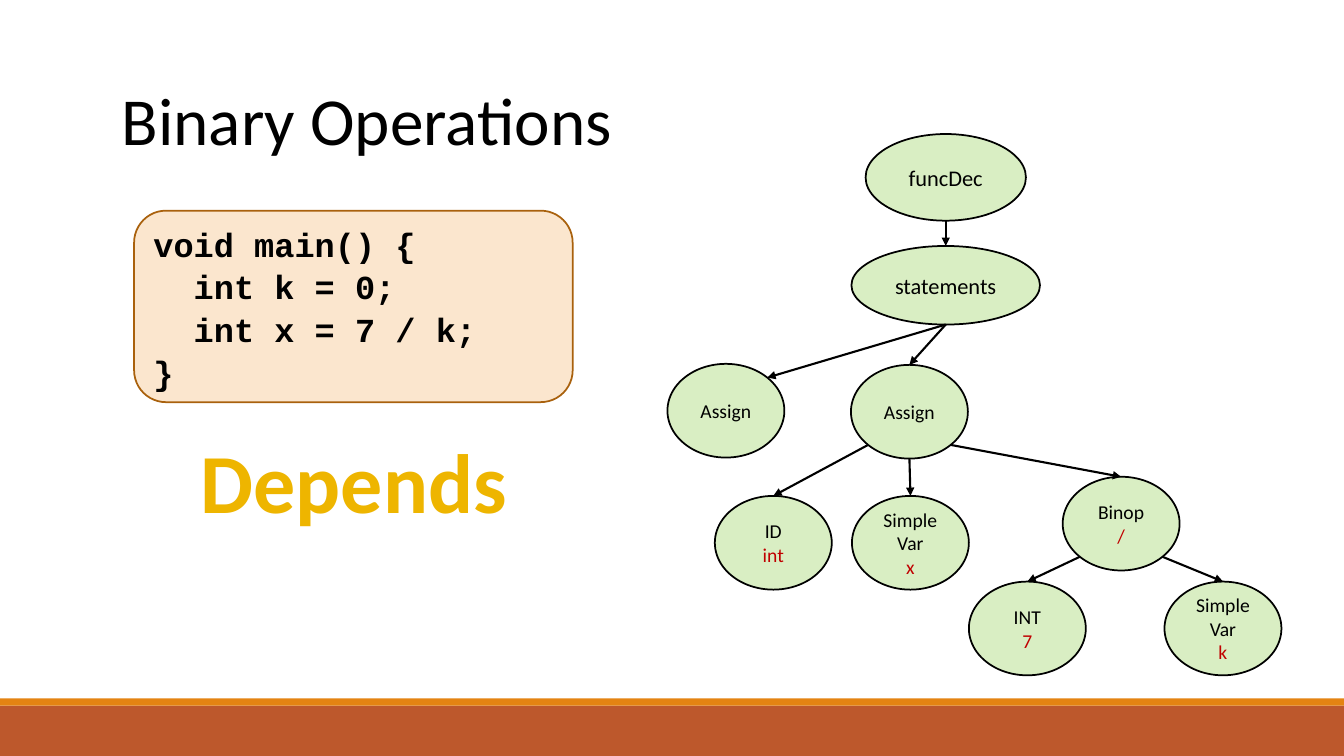
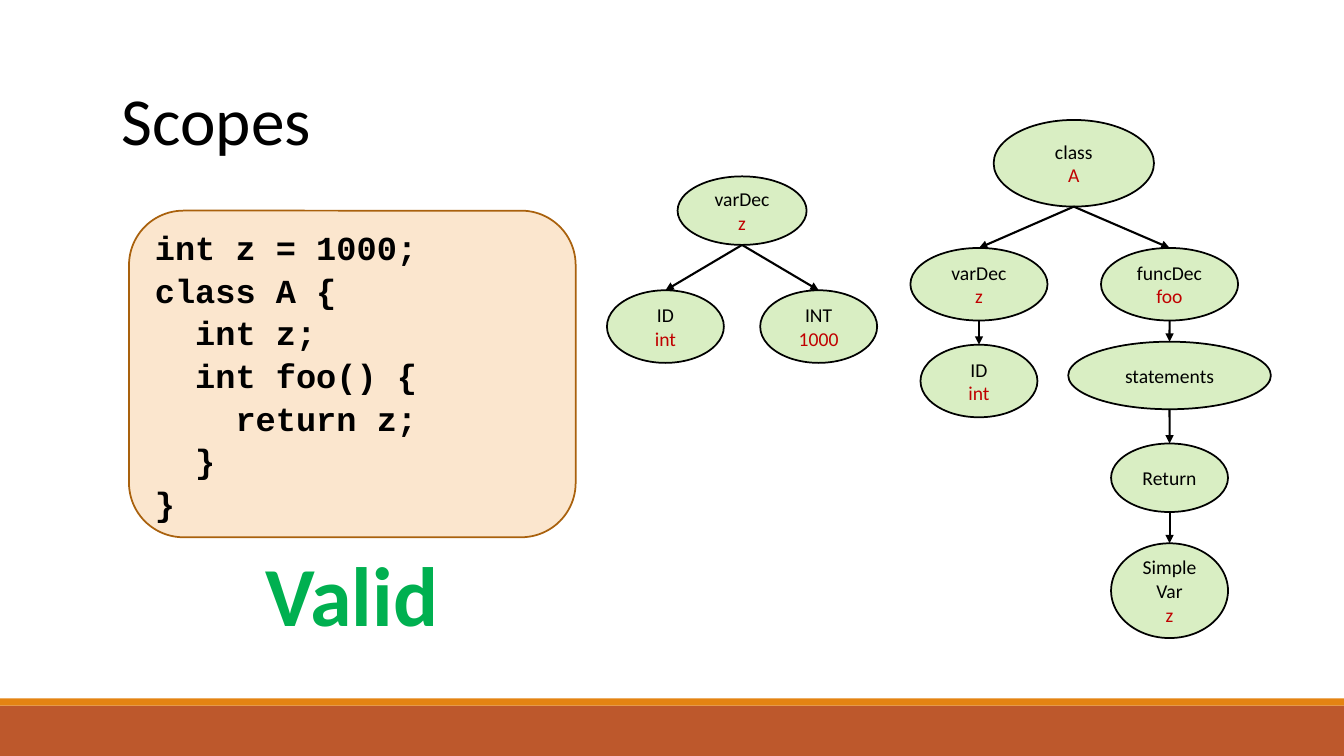
"""Builds two slides that show code samples beside their syntax trees."""
from lxml import etree
from pptx import Presentation
from pptx.dml.color import RGBColor
from pptx.enum import shapes, text
from pptx.oxml.ns import qn
from pptx.util import Inches, Pt

BLACK = RGBColor(0x00, 0x00, 0x00)
RED = RGBColor(0xC0, 0x00, 0x00)
GREEN = RGBColor(0x00, 0xB0, 0x50)
GOLD = RGBColor(0xEE, 0xB5, 0x00)
NODE_FILL = RGBColor(0x92, 0xD0, 0x50)
CODE_FILL = RGBColor(0xFB, 0xE6, 0xCE)
CODE_LINE = RGBColor(0xA9, 0x61, 0x0D)
BAND = RGBColor(0xBD, 0x58, 0x2C)
STRIPE = RGBColor(0xE4, 0x83, 0x12)

WIDTH, HEIGHT = 13.33, 7.5
NODE_OPACITY = 34
DIAGONAL = 0.5 ** 0.5 / 2
TOP, BOTTOM = (0.5, 0), (0.5, 1)
TOP_RIGHT = (0.5 + DIAGONAL, 0.5 - DIAGONAL)
BOTTOM_LEFT = (0.5 - DIAGONAL, 0.5 + DIAGONAL)
BOTTOM_RIGHT = (0.5 + DIAGONAL, 0.5 + DIAGONAL)

TITLE_FONT = {"name": "Calibri", "size": Pt(48), "bold": False}
VERDICT_FONT = {"name": "Calibri", "size": Pt(60), "bold": True}
CODE_FONT = {"name": "Courier New", "size": Pt(24), "bold": True}
NODE_FONT = {"name": "Calibri", "size": Pt(14), "bold": False}
LEFT_PARAGRAPH = {"alignment": text.PP_ALIGN.LEFT}
CENTRE_PARAGRAPH = {"alignment": text.PP_ALIGN.CENTER}
CODE_PARAGRAPH = {"alignment": text.PP_ALIGN.LEFT, "line_spacing": 1.06}


def apply(target, values):
    for name, value in values.items():
        setattr(target, name, value)


class Deck:
    def __init__(self):
        self.presentation = Presentation()
        apply(self.presentation, {"slide_width": Inches(WIDTH), "slide_height": Inches(HEIGHT)})
        self.slide = None

    def start_slide(self, title):
        self.slide = self.presentation.slides.add_slide(self.presentation.slide_layouts[6])
        self.shape(shapes.MSO_SHAPE.RECTANGLE, (0, 7, WIDTH, 0.5), BAND)
        self.shape(shapes.MSO_SHAPE.RECTANGLE, (0, 6.93, WIDTH, 0.07), STRIPE)
        self.label(title, (1.11, 0.73, 11.09, 0.91), TITLE_FONT, BLACK, LEFT_PARAGRAPH)

    def shape(self, kind, box, fill, line=None):
        shape = self.slide.shapes.add_shape(kind, *map(Inches, box))
        shape.shadow.inherit = False
        shape.fill.solid()
        shape.fill.fore_color.rgb = fill
        if line is None:
            shape.line.fill.background()
        else:
            shape.line.color.rgb = line
            shape.line.width = Pt(1.25)
        return shape

    def set_text(self, shape, lines, font, layout, anchor):
        frame = shape.text_frame
        apply(frame, {"word_wrap": True, "vertical_anchor": anchor})
        for index, (content, color) in enumerate(lines):
            paragraph = frame.add_paragraph() if index else frame.paragraphs[0]
            apply(paragraph, layout)
            run = paragraph.add_run()
            run.text = content
            apply(run.font, font)
            run.font.color.rgb = color

    def label(self, content, box, font, color, layout):
        shape = self.slide.shapes.add_textbox(*map(Inches, box))
        self.set_text(shape, [(content, color)], font, layout, text.MSO_ANCHOR.TOP)

    def verdict(self, content, box, color):
        self.label(content, box, VERDICT_FONT, color, CENTRE_PARAGRAPH)

    def code(self, source, box):
        shape = self.shape(shapes.MSO_SHAPE.ROUNDED_RECTANGLE, box, CODE_FILL, CODE_LINE)
        lines = [(line, BLACK) for line in source.splitlines()]
        self.set_text(shape, lines, CODE_FONT, CODE_PARAGRAPH, text.MSO_ANCHOR.MIDDLE)

    def node(self, name, centre, top, width=1.16, height=0.93, value=None, size=14):
        box = (centre - width / 2, top, width, height)
        shape = self.shape(shapes.MSO_SHAPE.OVAL, box, NODE_FILL, BLACK)
        color = shape.element.spPr.find(qn("a:solidFill")).find(qn("a:srgbClr"))
        etree.SubElement(color, qn("a:alpha"), val=str(NODE_OPACITY * 1000))
        lines = [(line, BLACK) for line in name.splitlines()]
        if value is not None:
            lines.append((value, RED))
        font = {**NODE_FONT, "size": Pt(size)}
        self.set_text(shape, lines, font, CENTRE_PARAGRAPH, text.MSO_ANCHOR.MIDDLE)
        return shape

    def arrow(self, parent, child, start=BOTTOM, end=TOP):
        points = []
        for shape, (across, down) in ((parent, start), (child, end)):
            points += [int(shape.left + across * shape.width), int(shape.top + down * shape.height)]
        connector = self.slide.shapes.add_connector(shapes.MSO_CONNECTOR.STRAIGHT, *points)
        if end == TOP:
            connector.end_connect(child, 0)
        connector.line.color.rgb = BLACK
        connector.line.width = Pt(1.5)
        properties = connector.element.spPr
        etree.SubElement(properties.find(qn("a:ln")), qn("a:tailEnd"), type="triangle")
        etree.SubElement(properties, qn("a:effectLst"))


def binary_operations(deck):
    deck.start_slide("Binary Operations")
    deck.verdict("Depends", (1.61, 4.21, 3.8, 1.11), GOLD)
    deck.code("void main() {\n  int k = 0;\n  int x = 7 / k;\n}", (1.33, 2.09, 4.35, 1.9))
    function = deck.node("funcDec", 9.38, 1.33, 1.59, 0.86, size=16)
    statements = deck.node("statements", 9.38, 2.44, 1.87, 0.78, size=16)
    first_assign = deck.node("Assign", 7.2, 3.61)
    assign = deck.node("Assign", 9.02, 3.62)
    kind = deck.node("ID", 7.67, 4.92, value="int")
    variable = deck.node("Simple\nVar", 9.03, 4.92, value="x")
    division = deck.node("Binop", 11.12, 4.73, value="/")
    dividend = deck.node("INT", 10.19, 5.77, value="7")
    divisor = deck.node("Simple\nVar", 12.13, 5.77, value="k")
    deck.arrow(function, statements)
    deck.arrow(statements, first_assign, end=TOP_RIGHT)
    deck.arrow(statements, assign)
    deck.arrow(assign, kind, BOTTOM_LEFT)
    deck.arrow(assign, variable)
    deck.arrow(assign, division, BOTTOM_RIGHT)
    deck.arrow(division, dividend, BOTTOM_LEFT)
    deck.arrow(division, divisor, BOTTOM_RIGHT)


def scopes(deck):
    deck.start_slide("Scopes")
    deck.verdict("Valid", (1.96, 5.33, 3.06, 1.11), GREEN)
    source = "int z = 1000;\nclass A {\n  int z;\n  int foo() {\n    return z;\n  }\n}"
    deck.code(source, (1.28, 2.09, 4.43, 3.24))
    outer = deck.node("varDec", 7.36, 1.75, 1.28, 0.68, "z")
    outer_kind = deck.node("ID", 6.6, 2.88, height=0.72, value="int")
    outer_value = deck.node("INT", 8.12, 2.88, height=0.72, value="1000")
    owner = deck.node("class", 10.65, 1.19, 1.59, 0.86, "A")
    field = deck.node("varDec", 9.71, 2.46, 1.36, 0.72, "z")
    field_kind = deck.node("ID", 9.71, 3.42, height=0.72, value="int")
    method = deck.node("funcDec", 11.6, 2.46, 1.36, 0.72, "foo")
    statements = deck.node("statements", 11.6, 3.39, 2.01, 0.67)
    result = deck.node("Return", 11.6, 4.4, height=0.68)
    variable = deck.node("Simple\nVar", 11.6, 5.39, height=0.94, value="z")
    for parent, child in (
        (outer, outer_kind), (outer, outer_value), (owner, field), (owner, method),
        (field, field_kind), (method, statements), (statements, result), (result, variable),
    ):
        deck.arrow(parent, child)


def main():
    deck = Deck()
    binary_operations(deck)
    scopes(deck)
    deck.presentation.save("out.pptx")


if __name__ == "__main__":
    main()
